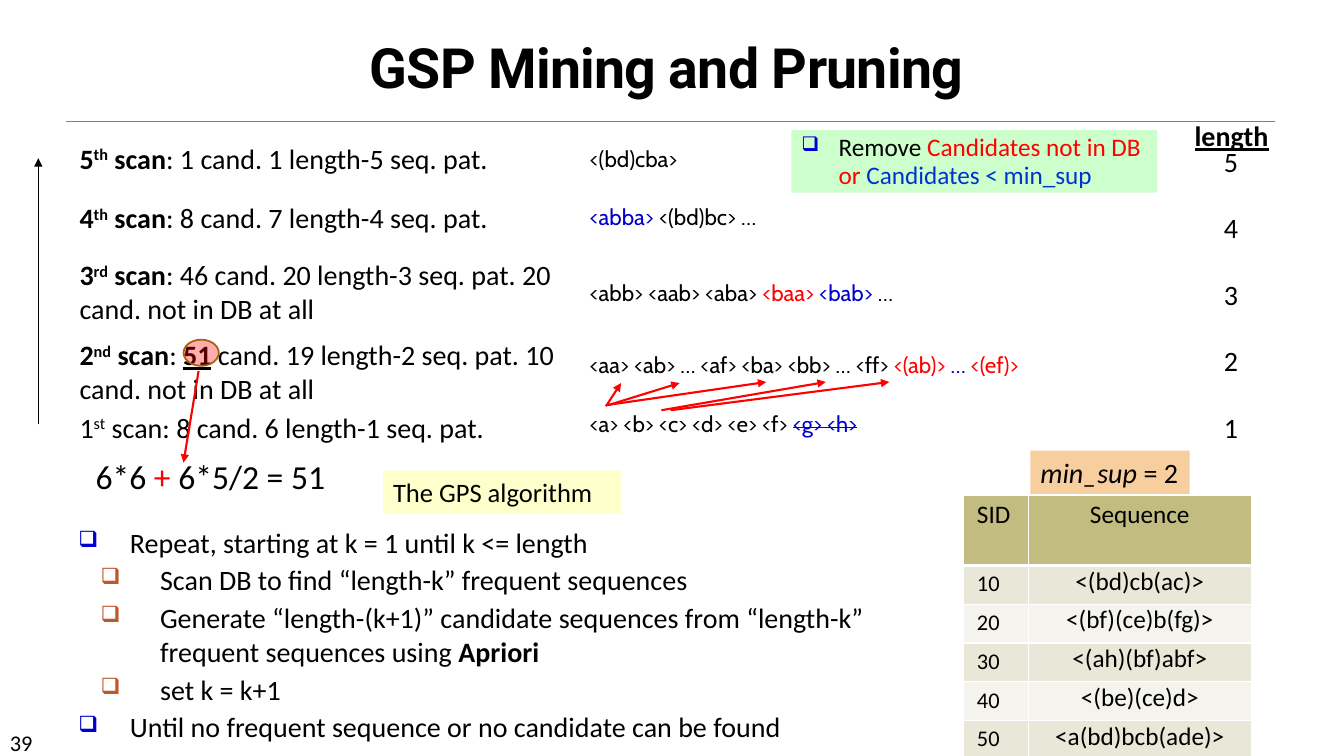
import pptx
import pptx.dml.color
import pptx.enum.shapes
import pptx.enum.text
import pptx.oxml.ns
import pptx.util
from lxml import etree

Inches, Pt = pptx.util.Inches, pptx.util.Pt
SHAPE = pptx.enum.shapes.MSO_SHAPE
ALIGN = pptx.enum.text.PP_ALIGN
ANCHOR = pptx.enum.text.MSO_ANCHOR
qn = pptx.oxml.ns.qn

COLORS = {
    "black": "000000", "white": "FFFFFF", "rule": "808080", "red": "FF0000",
    "blue": "0000CC", "royal": "0033CC", "rust": "BD582C", "ring": "A9610D",
    "mint": "CCFFCC", "peach": "F7CE9D", "cream": "FFFFCC",
    "header": "C2BC80", "band dark": "E9E7D8", "band light": "F4F3ED",
}


def color(name):
    return pptx.dml.color.RGBColor.from_string(COLORS[name])


def add_runs(paragraph, runs, size, font="Calibri"):
    """Each run is (text, style); style may hold color, bold, italic, underline and raw rPr attributes."""
    for text, style in runs:
        run = paragraph.add_run()
        run.text = text
        run.font.name, run.font.size = font, Pt(size)
        run.font.color.rgb = color(style.get("color", "black"))
        for key in ("bold", "italic", "underline"):
            if key in style:
                setattr(run.font, key, style[key])
        for key, value in style.get("raw", {}).items():
            run._r.get_or_add_rPr().set(key, value)


def set_indent(paragraph, margin, hanging=0, bullet=None):
    properties = paragraph._p.get_or_add_pPr()
    properties.set("marL", str(Inches(margin)))
    properties.set("indent", str(Inches(-hanging)))
    if bullet:
        tint = etree.SubElement(properties, qn("a:buClr"))
        etree.SubElement(tint, qn("a:srgbClr")).set("val", COLORS[bullet])
        etree.SubElement(properties, qn("a:buSzPct")).set("val", "80000")
        etree.SubElement(properties, qn("a:buChar")).set("char", "❑")


def add_text(slide, box, runs=(), size=20, font="Calibri", fill=None):
    """Place text in a plain or filled box and return its text frame."""
    area = [Inches(value) for value in box]
    if fill:
        holder = slide.shapes.add_shape(SHAPE.RECTANGLE, *area)
        holder.shadow.inherit = False
        holder.fill.solid()
        holder.fill.fore_color.rgb = color(fill)
        holder.line.fill.background()
    else:
        holder = slide.shapes.add_textbox(*area)
    frame = holder.text_frame
    frame.word_wrap = True
    frame.vertical_anchor = ANCHOR.TOP
    frame.paragraphs[0].alignment = ALIGN.LEFT
    add_runs(frame.paragraphs[0], runs, size, font)
    return frame


def add_line(slide, start, end, tint, width, arrow=True):
    line = slide.shapes.add_connector(
        pptx.enum.shapes.MSO_CONNECTOR.STRAIGHT,
        *[Inches(value) for value in start + end])
    line.line.color.rgb = color(tint)
    line.line.width = Pt(width)
    if arrow:
        etree.SubElement(line.line._get_or_add_ln(), qn("a:tailEnd")).set("type", "triangle")
    etree.SubElement(line._element.spPr, qn("a:effectLst"))


def add_frame(slide):
    """Title, rule below it and slide number."""
    add_line(slide, (0.65, 1.2), (12.65, 1.2), "rule", 0.5, arrow=False)
    add_text(slide, (0, 7.18, 1.17, 0.3), [("39", {})], 16)
    title = add_text(slide, (0.22, 0.42, 12.78, 0.62),
                     [("GSP Mining and Pruning", {"bold": True, "raw": {"spc": "-50"}})],
                     39.6, "Roboto")
    title.vertical_anchor = ANCHOR.BOTTOM
    title.paragraphs[0].alignment = ALIGN.CENTER
    title.paragraphs[0].line_spacing = 0.85


def add_scans(slide, left, top):
    """Scan summaries, each beside its candidate sequences, from the longest down."""
    red, blue = {"color": "red"}, {"color": "blue"}
    pruned = {"color": "blue", "raw": {"strike": "sngStrike"}}
    scans = [
        (0, "5", "th", [(": 1 cand. 1 length-5 seq. pat.", {})],
         0.04, [("<(bd)cba>", {})]),
        (0.59, "4", "th", [(": 8 cand. 7 length-4 seq. pat.", {})],
         0.62, [("<abba> ", blue), ("<(bd)bc> …", {})]),
        (1.16, "3", "rd",
         [(": 46 cand. 20 length-3 seq. pat. 20 cand. not in DB at all", {})],
         1.37, [("<abb> <aab> <aba> ", {}), ("<baa> ", red), ("<bab> ", blue), ("…", {})]),
        (1.95, "2", "nd",
         [(": ", {}), ("51", {"bold": True, "underline": True}),
          (" cand. 19 length-2 seq. pat. 10 cand. not in DB at all", {})],
         2.08, [("<aa> <ab> … <af> <ba> <bb> … <ff> ", {}), ("<(ab)> ", red),
                ("… ", blue), ("<(ef)>", red)]),
        (2.67, "1", "st", [(": 8 cand. 6 length-1 seq. pat.", {})],
         2.67, [("<a> <b> <c> <d> <e> <f> ", {}), ("<g> <h>", pruned)]),
    ]
    for scan_top, number, suffix, counts, sequence_top, sequences in scans:
        bold = number != "1"
        heading = [(number, {"bold": bold}),
                   (suffix, {"bold": bold, "raw": {"baseline": "30000"}}),
                   (" scan", {"bold": bold})]
        add_text(slide, (left, top + scan_top, 4.91, 0.44), heading + counts)
        add_text(slide, (left + 5.06, top + sequence_top, 6.15, 0.37), sequences, 16, "Cabin")


def add_lengths(slide, left, top):
    add_text(slide, (left, top, 0.96, 0.44), [("length", {"bold": True, "underline": True})])
    frame = add_text(slide, (left + 0.29, top + 0.25, 0.37, 3.47), [("5", {})])
    for length in "4321":
        paragraph = frame.add_paragraph()
        paragraph.space_before = Pt(23.5)
        add_runs(paragraph, [(length, {})], 20)


def add_pruning_note(slide, box):
    frame = add_text(slide, box, fill="mint")
    rule = frame.paragraphs[0]
    rule.line_spacing = 0.9
    set_indent(rule, 0.37, 0.37, "blue")
    add_runs(rule, [("Remove ", {}), ("Candidates not in DB or ", {"color": "red"}),
                    ("Candidates < min_sup", {"color": "royal"})], 18)


def add_arrows(slide):
    """Upward scan direction, then joins from length 1 to length 2."""
    add_line(slide, (0.38, 4.21), (0.38, 1.57), "black", 1)
    joins = [((6.01, 4.03), (6.16, 3.8)), ((6.03, 4.02), (6.74, 3.8)),
             ((6.01, 4.02), (7.6, 3.79)), ((6.56, 4.07), (8.19, 3.79)),
             ((6.65, 4.07), (8.82, 3.79))]
    for start, end in joins:
        add_line(slide, start, end, "red", 1.5)


def add_candidate_count(slide, left, top):
    """Circle around 51 and the sum that explains it."""
    add_line(slide, (left + 1.34, top - 0.84), (left + 1.19, top + 0.07), "red", 1.5)
    total = add_text(slide, (left, top, 3, 0.46)).paragraphs[0]
    set_indent(total, 0.22)
    total.line_spacing = 0.9
    add_runs(total, [("6*6 ", {}), ("+", {"color": "red"}), (" 6*5/2 = 51", {})], 24)
    ring = slide.shapes.add_shape(SHAPE.OVAL, Inches(left + 1.19), Inches(top - 1.15),
                                  Inches(0.35), Inches(0.26))
    ring.shadow.inherit = False
    ring.fill.solid()
    ring.fill.fore_color.rgb = color("red")
    tint = ring._element.spPr.find(qn("a:solidFill")).find(qn("a:srgbClr"))
    etree.SubElement(tint, qn("a:alpha")).set("val", "32000")
    ring.line.color.rgb = color("ring")
    ring.line.width = Pt(1.25)


def add_algorithm(slide, box):
    left, top = box[:2]
    add_text(slide, (left + 3.12, top - 0.49, 2.36, 0.42),
             [("The GPS algorithm", {})], 19, fill="cream")
    frame = add_text(slide, box)
    steps = [
        (0, [("Repeat, starting at k = 1 until k <= length", {})]),
        (1, [("Scan DB to find “length-k” frequent sequences", {})]),
        (1, [("Generate “length-(k+1)” candidate sequences from “length-k” "
              "frequent sequences using ", {}), ("Apriori", {"bold": True})]),
        (1, [("set k = k+1", {})]),
        (0, [("Until no frequent sequence or no candidate can be found", {})]),
    ]
    for index, (level, runs) in enumerate(steps):
        step = frame.add_paragraph() if index else frame.paragraphs[0]
        step.level = level
        set_indent(step, *((0.81, 0.59, "rust") if level else (0.51, 0.51, "blue")))
        if index:
            step.space_before = Pt(3)
        add_runs(step, runs, 20)


def style_cell(cell, fill, bottom):
    cell.margin_left = cell.margin_right = Inches(0.13)
    properties = cell._tc.get_or_add_tcPr()
    for side, width in (("L", 1), ("R", 1), ("T", 1), ("B", bottom)):
        border = etree.SubElement(properties, qn("a:ln" + side), w=str(Pt(width)))
        paint = etree.SubElement(border, qn("a:solidFill"))
        etree.SubElement(paint, qn("a:srgbClr")).set("val", COLORS["white"])
    cell.fill.solid()
    cell.fill.fore_color.rgb = color(fill)


def add_database(slide, left, top):
    """Sequence database with the support threshold above it."""
    add_text(slide, (left + 0.66, top - 0.44, 1.58, 0.44),
             [("min_sup ", {"italic": True}), ("= 2", {})], fill="peach")
    rows = [("SID", "Sequence"), ("10", "<(bd)cb(ac)>"), ("20", "<(bf)(ce)b(fg)>"),
            ("30", "<(ah)(bf)abf>"), ("40", "<(be)(ce)d>"), ("50", "<a(bd)bcb(ade)>")]
    table = slide.shapes.add_table(len(rows), 2, Inches(left), Inches(top),
                                   Inches(2.85), Inches(2.63)).table
    for column, width in zip(table.columns, (0.64, 2.21)):
        column.width = Inches(width)
    for r, values in enumerate(rows):
        table.rows[r].height = Inches(0.385 if r else 0.7)
        fill = ("band dark" if r % 2 else "band light") if r else "header"
        for c, value in enumerate(values):
            cell = table.cell(r, c)
            style_cell(cell, fill, 1 if r else 3)
            paragraph = cell.text_frame.paragraphs[0]
            paragraph.alignment = ALIGN.CENTER if c else ALIGN.LEFT
            if r and c:
                paragraph.line_spacing = 0.8
            add_runs(paragraph, [(value, {"bold": False})], 16 if r and not c else 18)


def main():
    deck = pptx.Presentation()
    deck.slide_width, deck.slide_height = Inches(13.33), Inches(7.5)
    slide = deck.slides.add_slide(deck.slide_layouts[6])
    add_frame(slide)
    add_scans(slide, 0.69, 1.35)
    add_database(slide, 9.56, 4.91)
    add_pruning_note(slide, (7.85, 1.29, 3.63, 0.62))
    add_arrows(slide)
    add_candidate_count(slide, 0.63, 4.52)
    add_lengths(slide, 11.75, 1.13)
    add_algorithm(slide, (0.68, 5.16, 8.57, 2.29))
    deck.save("out.pptx")


if __name__ == "__main__":
    main()
